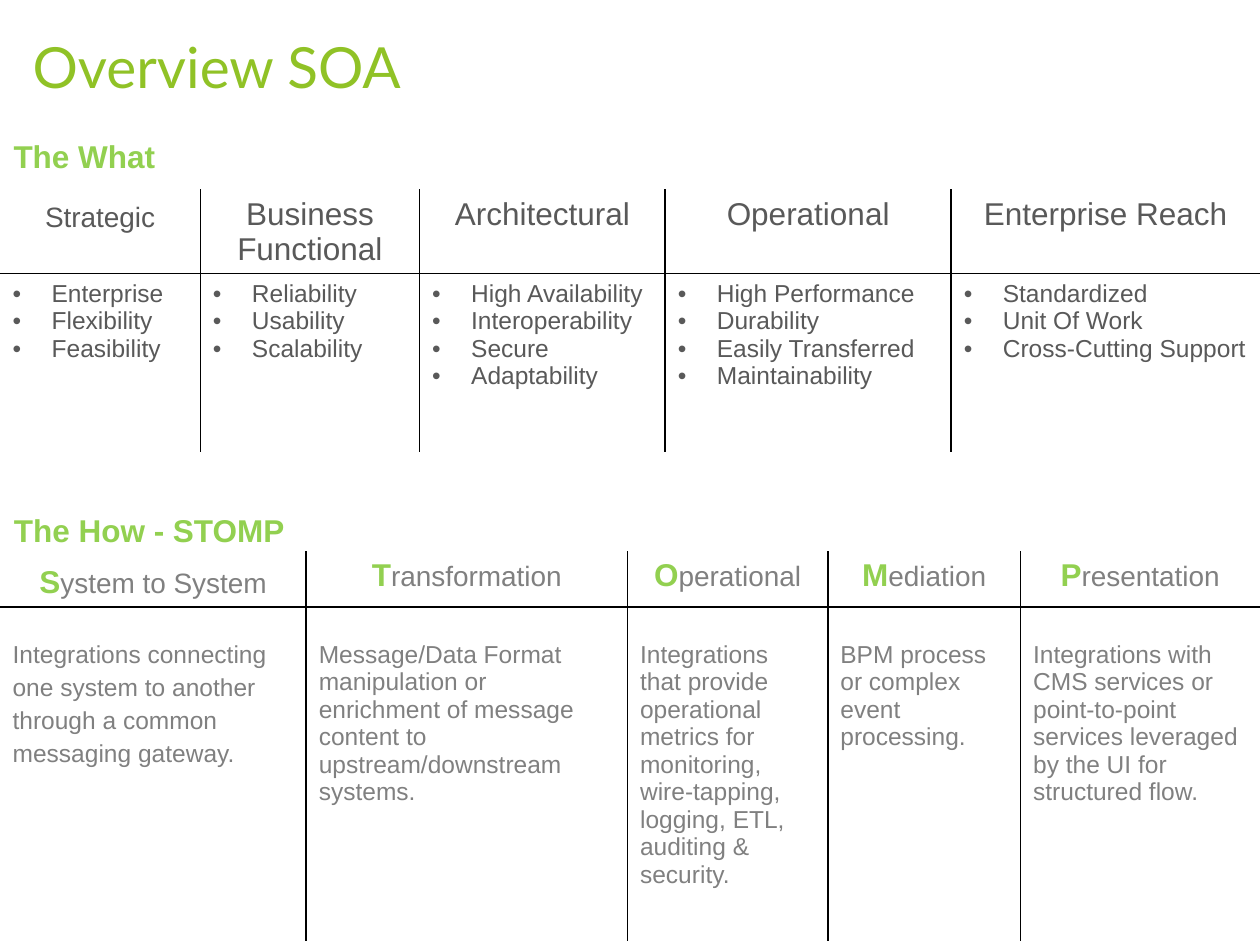
from lxml import etree
from pptx import Presentation, util as u
from pptx.dml.color import RGBColor
from pptx.enum import text as t
from pptx.oxml.ns import qn

Inches, Pt = u.Inches, u.Pt
WHITE = RGBColor(0xFF, 0xFF, 0xFF)
DARK = RGBColor(0x59, 0x59, 0x59)
GREY = RGBColor(0x80, 0x80, 0x80)
GREEN = RGBColor(0x92, 0xD0, 0x50)
OLIVE = RGBColor(0x90, 0xC2, 0x26)
CENTER, LEFT = t.PP_ALIGN.CENTER, t.PP_ALIGN.LEFT

WHAT = [
    ("Strategic", 1.59, ["Enterprise", "Flexibility", "Feasibility"]),
    ("Business Functional", 1.74, ["Reliability", "Usability", "Scalability"]),
    ("Architectural", 1.95,
     ["High Availability", "Interoperability", "Secure", "Adaptability"]),
    ("Operational", 2.27,
     ["High Performance", "Durability", "Easily Transferred", "Maintainability"]),
    ("Enterprise Reach", 2.45,
     ["Standardized", "Unit Of Work", "Cross-Cutting Support"]),
]
HOW = [
    ("System to System", 2.43,
     "Integrations connecting one system to another through a common "
     "messaging gateway."),
    ("Transformation", 2.55,
     "Message/Data Format manipulation or enrichment of message content to "
     "upstream/downstream systems."),
    ("Operational", 1.59,
     "Integrations that provide operational metrics for monitoring, "
     "wire-tapping, logging, ETL, auditing & security."),
    ("Mediation", 1.53, "BPM process or complex event processing."),
    ("Presentation", 1.9,
     "Integrations with CMS services or point-to-point services leveraged "
     "by the UI for structured flow."),
]


def write(para, words, size=14, color=GREY, bold=False, font="Arial",
          align=LEFT, space=None):
    run = para.add_run()
    run.text = words
    run.font.size, run.font.bold, run.font.name = Pt(size), bold, font
    run.font.color.rgb = color
    para.alignment = align
    if space:
        para.line_spacing = space


def bullet(para):
    props = para._p.get_or_add_pPr()
    props.set("marL", str(Inches(0.31)))
    props.set("indent", str(-Inches(0.31)))
    etree.SubElement(props, qn("a:buFont"), typeface="Arial")
    etree.SubElement(props, qn("a:buChar"), char="•")


def rule(cell, side):
    """Draw a thin black line on one side (L, R, T or B) of a cell."""
    line = etree.SubElement(cell._tc.get_or_add_tcPr(), qn("a:ln" + side),
                            w=str(Pt(1)))
    fill = etree.SubElement(line, qn("a:solidFill"))
    etree.SubElement(fill, qn("a:srgbClr"), val="000000")


def grid(slide, top, widths, heights):
    """Add a white table with lines only between its cells."""
    rows, cols = len(heights), len(widths)
    table = slide.shapes.add_table(rows, cols, 0, Inches(top), Inches(10),
                                   Inches(sum(heights))).table
    table.first_row = table.horz_banding = False
    for col, width in zip(table.columns, widths):
        col.width = Inches(width)
    for row, height in zip(table.rows, heights):
        row.height = Inches(height)
    for r in range(rows):
        for c in range(cols):
            cell = table.cell(r, c)
            inner = {"L": c > 0, "R": c < cols - 1, "T": r > 0, "B": r < rows - 1}
            for side, shown in inner.items():
                if shown:
                    rule(cell, side)
            cell.fill.solid()
            cell.fill.fore_color.rgb = WHITE
    return table


def what(slide, top):
    table = grid(slide, top, [col[1] for col in WHAT], [0.54, 1.42])
    for c, (name, _, items) in enumerate(WHAT):
        first = c == 0
        write(table.cell(0, c).text_frame.paragraphs[0], name,
              size=16 if first else 18, color=DARK, align=CENTER,
              space=1.2 if first else None)
        frame = table.cell(1, c).text_frame
        for i, item in enumerate(items):
            para = frame.add_paragraph() if i else frame.paragraphs[0]
            bullet(para)
            write(para, item, color=DARK)


def how(slide, top):
    table = grid(slide, top, [col[1] for col in HOW], [0.42, 2.66])
    for c, (name, _, words) in enumerate(HOW):
        space = None if c else 1.2
        head = table.cell(0, c).text_frame.paragraphs[0]
        write(head, name[0], size=18, color=GREEN, bold=True, align=CENTER)
        write(head, name[1:], size=16, align=CENTER, space=space)
        body = table.cell(1, c)
        body.margin_top = Inches(0.27 if c else 0.23)
        write(body.text_frame.paragraphs[0], words, space=space)


def label(slide, words, left, top, width, height, inset=None, **form):
    frame = slide.shapes.add_textbox(Inches(left), Inches(top), Inches(width),
                                     Inches(height)).text_frame
    frame.word_wrap = inset is not None
    if inset is not None:
        frame.margin_left = frame.margin_right = Inches(inset)
        frame.margin_top = frame.margin_bottom = Inches(inset)
    write(frame.paragraphs[0], words, **form)


def main():
    deck = Presentation()
    deck.slide_width, deck.slide_height = Inches(10), Inches(7.5)
    slide = deck.slides.add_slide(deck.slide_layouts[6])
    what(slide, 1.51)
    how(slide, 4.38)
    label(slide, "Overview SOA", 0.26, 0.25, 8.8, 0.43, inset=0,
          size=32.4, color=OLIVE, font="Lato")
    section = dict(size=18, color=GREEN, bold=True, align=CENTER)
    label(slide, "The What", 0, 1.04, 1.34, 0.4, **section)
    label(slide, "The How - STOMP", 0, 4.01, 2.37, 0.4, **section)
    deck.save("out.pptx")


if __name__ == "__main__":
    main()
